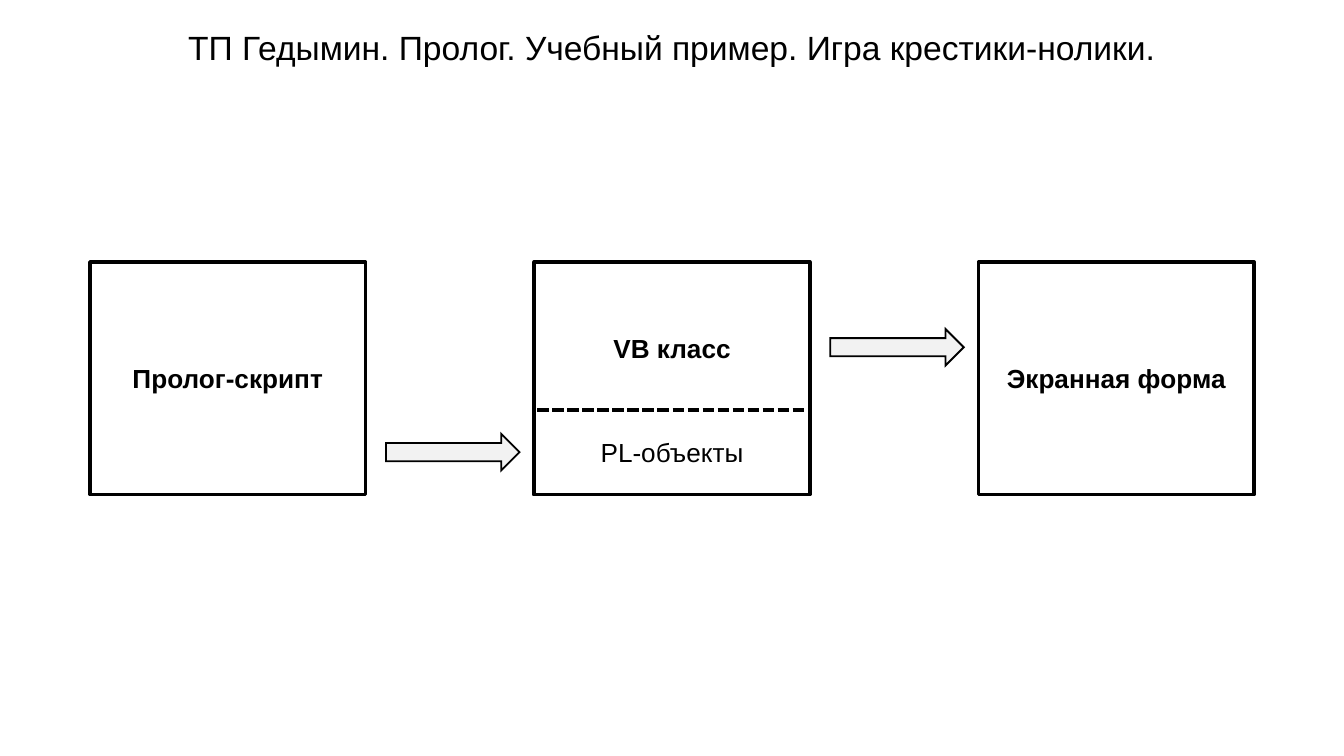
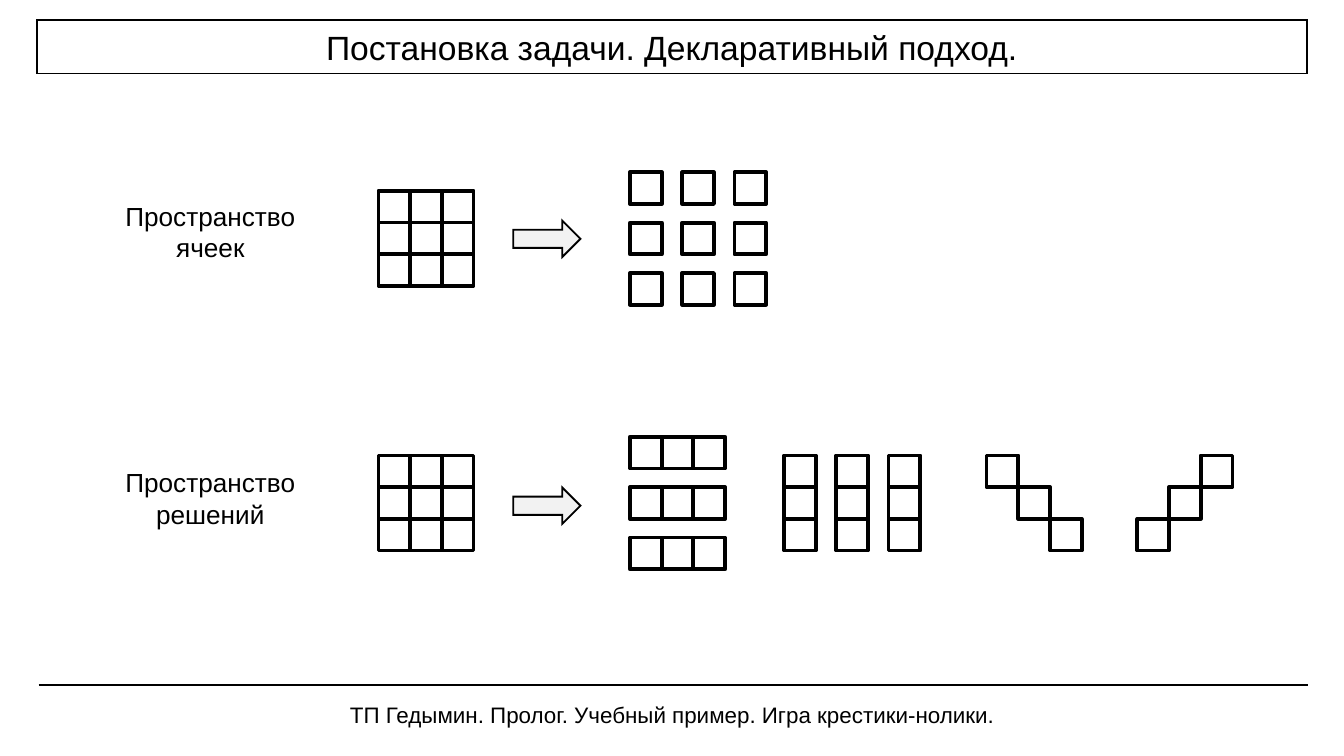
from dataclasses import dataclass

from lxml.etree import SubElement
from pptx import Presentation
from pptx.dml.color import RGBColor
from pptx.enum.dml import MSO_LINE_DASH_STYLE as Dash
from pptx.enum.shapes import MSO_CONNECTOR as Connector, MSO_SHAPE as Shape
from pptx.enum.text import MSO_ANCHOR as Anchor, PP_ALIGN as Align
from pptx.oxml.ns import qn
from pptx.shapes.autoshape import Shape as AutoShape
from pptx.slide import Slide
from pptx.util import Pt

COLORS = {"ink": "000000", "paper": "FFFFFF", "arrow": "F2F2F2"}
FONT = "Arial"
TOPIC = "ТП Гедымин. Пролог. Учебный пример. Игра крестики-нолики."
THICK, ARROW_LINE, THIN = 2, 1, 0.75
CELL = 17                       # side of a board cell
GAP_X, GAP_Y = 28, 27           # steps between separated cells and lines


@dataclass(frozen=True)
class Area:
    x: float
    y: float
    w: float
    h: float


@dataclass(frozen=True)
class Box:
    area: Area
    text: str
    bold: bool = True
    filled: bool = True
    dashed: bool = False
    top_inset: float | None = None   # None centres the text vertically


@dataclass(frozen=True)
class CellGroup:
    x: float
    y: float
    cells: tuple[tuple[int, int], ...]   # (column, row)
    dx: float = CELL
    dy: float = CELL


def rgb(name: str) -> RGBColor:
    return RGBColor.from_string(COLORS[name])


# Shared drawing
def style(sp: AutoShape, fill: str | None, weight: float, dashed: bool = False) -> None:
    sp.shadow.inherit = False
    if fill:
        sp.fill.solid()
        sp.fill.fore_color.rgb = rgb(fill)
    else:
        sp.fill.background()
    sp.line.color.rgb = rgb("ink")
    sp.line.width = Pt(weight)
    if dashed:
        sp.line.dash_style = Dash.SQUARE_DOT
    ln = sp.line._get_or_add_ln()
    if weight == THICK:
        SubElement(ln, qn("a:round"))
    else:
        SubElement(ln, qn("a:miter"), lim="800000")


def add_shape(shapes, kind: Shape, area: Area) -> AutoShape:
    return shapes.add_shape(kind, Pt(area.x), Pt(area.y), Pt(area.w), Pt(area.h))


def write(sp: AutoShape, text: str, size: float, bold: bool = False) -> None:
    tf = sp.text_frame
    tf.word_wrap = True
    tf.vertical_anchor = Anchor.MIDDLE
    tf.text = text
    for p in tf.paragraphs:
        p.alignment = Align.CENTER
        for r in p.runs:
            r.font.name = FONT
            r.font.size = Pt(size)
            r.font.bold = bold
            r.font.color.rgb = rgb("ink")


def add_text(s: Slide, area: Area, text: str, size: float) -> None:
    sp = s.shapes.add_textbox(Pt(area.x), Pt(area.y), Pt(area.w), Pt(area.h))
    write(sp, text, size)


def add_title(s: Slide, text: str, framed: bool = False) -> None:
    area = Area(19.75, 10.8, 680.4, 28.8)
    if framed:
        sp = add_shape(s.shapes, Shape.RECTANGLE, area)
        style(sp, None, THIN)
        write(sp, text, 18)
    else:
        add_text(s, area, text, 18)


def add_footer(s: Slide) -> None:
    add_text(s, Area(20, 372.2, 680.4, 21.6), TOPIC, 12)
    line = s.shapes.add_connector(Connector.STRAIGHT, Pt(20.75), Pt(367), Pt(701), Pt(367))
    line.line.color.rgb = rgb("ink")
    line.line.width = Pt(THIN)
    SubElement(line._element.spPr, qn("a:effectLst"))


def add_arrow(s: Slide, x: float, y: float, w: float) -> None:
    sp = add_shape(s.shapes, Shape.RIGHT_ARROW, Area(x, y, w, 19.5))
    style(sp, "arrow", ARROW_LINE)


def add_box(s: Slide, box: Box) -> None:
    sp = add_shape(s.shapes, Shape.RECTANGLE, box.area)
    style(sp, "paper" if box.filled else None, THICK, box.dashed)
    write(sp, box.text, 14, box.bold)
    if box.top_inset is not None:
        sp.text_frame.vertical_anchor = Anchor.TOP
        sp.text_frame.margin_top = Pt(box.top_inset)


def add_cells(s: Slide, group: CellGroup) -> None:
    shapes = s.shapes.add_group_shape().shapes
    for col, row in group.cells:
        area = Area(group.x + col * group.dx, group.y + row * group.dy, CELL, CELL)
        style(add_shape(shapes, Shape.RECTANGLE, area), "paper", THICK)


# Slide 1: components and the flow between them
def build_architecture(s: Slide) -> None:
    add_title(s, TOPIC)
    left, step, top, w, h = 48.25, 238, 140.4, 147.6, 124.6
    script, vb_class, form = (Area(left + i * step, top, w, h) for i in range(3))
    objects_h = 45.4
    objects = Area(vb_class.x, top + h - objects_h, w, objects_h)
    for box in (
        Box(script, "Пролог-скрипт"),
        Box(objects, "PL-объекты", bold=False, dashed=True),
        Box(vb_class, "VB класс", filled=False, top_inset=37.5),
        Box(form, "Экранная форма"),
    ):
        add_box(s, box)
    for i, y in enumerate((232.5, 176.3)):
        add_arrow(s, script.x + w + 11 + i * step, y, 71.5)


# Slide 2: cells of the board and winning lines
def build_task(s: Slide) -> None:
    add_footer(s)
    add_title(s, "Постановка задачи. Декларативный подход.", framed=True)

    board = tuple((col, row) for row in range(3) for col in range(3))
    row_line = tuple((i, 0) for i in range(3))
    column_line = tuple((0, i) for i in range(3))
    falling = tuple((i, i) for i in range(3))
    rising = tuple((2 - i, i) for i in range(3))
    board_x, result_x, cells_y, lines_y = 202.75, 337.5, 102.2, 244

    groups = [
        CellGroup(board_x, cells_y, board),
        CellGroup(result_x, 92.3, board, GAP_X, GAP_Y),
        CellGroup(board_x, lines_y, board),
        *(CellGroup(420 + i * GAP_X, lines_y, column_line) for i in range(3)),
        *(CellGroup(result_x, 234 + i * GAP_Y, row_line) for i in range(3)),
        CellGroup(528.5, lines_y, falling),
        CellGroup(609.3, lines_y, rising),
    ]
    for group in groups:
        add_cells(s, group)

    for y in (118.2, 261.2):
        add_arrow(s, 275, y, 36)
    for y, text in ((103.7, "Пространство\nячеек"), (246.3, "Пространство\nрешений")):
        add_text(s, Area(42.5, y, 140.4, 41), text, 14)


def main() -> None:
    prs = Presentation()
    prs.slide_width, prs.slide_height = Pt(720), Pt(405)
    for build in (build_architecture, build_task):
        build(prs.slides.add_slide(prs.slide_layouts[6]))
    prs.save("out.pptx")


if __name__ == "__main__":
    main()
